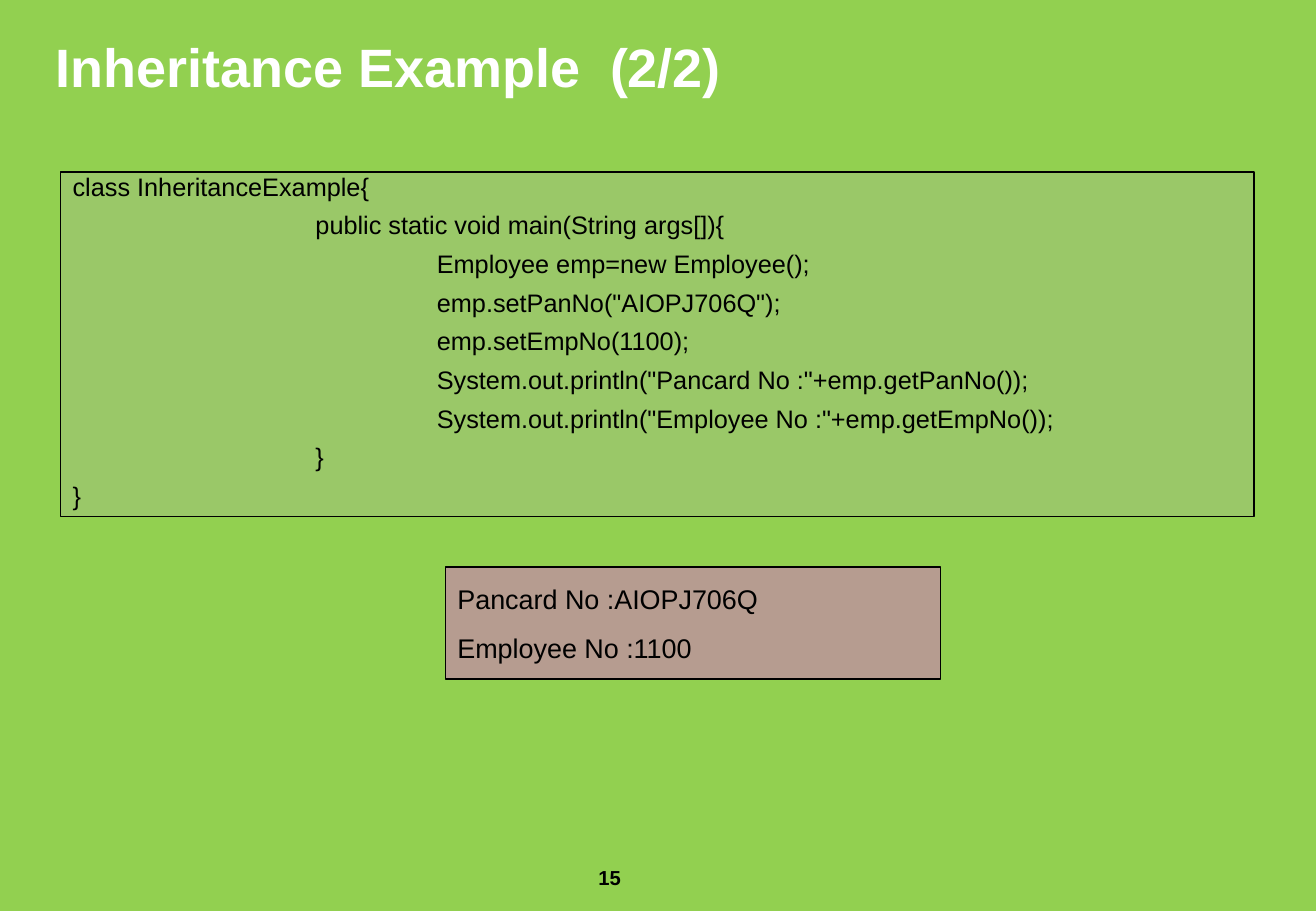
from lxml.etree import SubElement as add_element
from pptx import Presentation
from pptx.dml.color import RGBColor
from pptx.enum.shapes import MSO_SHAPE as Shape
from pptx.enum.text import MSO_ANCHOR as Anchor, MSO_AUTO_SIZE as AutoSize, PP_ALIGN as Align
from pptx.oxml.ns import qn
from pptx.util import Cm, Pt

TITLE_ONLY = 5
TAB_WIDTH = Cm(2.54)

CODE = [
    'class InheritanceExample{',
    '\t\tpublic static void main(String args[]){',
    '\t\t\tEmployee emp=new Employee();',
    '\t\t\temp.setPanNo("AIOPJ706Q");',
    '\t\t\temp.setEmpNo(1100);',
    '\t\t\tSystem.out.println("Pancard No :"+emp.getPanNo());',
    '\t\t\tSystem.out.println("Employee No :"+emp.getEmpNo());',
    '\t\t}',
    '}',
]
OUTPUT = ['Pancard No :AIOPJ706Q', 'Employee No :1100']


def colour(hex_code):
    return RGBColor.from_string(hex_code)


class SlideBuilder:
    font_name = 'Arial'
    ink = '000000'

    def __init__(self, page, background):
        self.page = page
        page.background.fill.solid()
        page.background.fill.fore_color.rgb = colour(background)

    def add_lines(self, frame, lines, size, hex_code=ink, bold=False, gap=0, spacing=1.0, tabs=0):
        """Fill a text frame with one left-aligned paragraph per line."""
        frame.word_wrap = True
        frame.auto_size = AutoSize.NONE
        for index, line in enumerate(lines):
            para = frame.add_paragraph() if index else frame.paragraphs[0]
            if tabs:
                self.add_tab_stops(para, tabs)
            para.alignment = Align.LEFT
            para.line_spacing = spacing
            para.space_before = Pt(gap if index else 0)
            span = para.add_run()
            span.text = line
            span.font.name = self.font_name
            span.font.size = Pt(size)
            span.font.bold = bold
            span.font.color.rgb = colour(hex_code)

    def add_tab_stops(self, para, count):
        stops = add_element(para._p.get_or_add_pPr(), qn('a:tabLst'))
        for number in range(1, count + 1):
            add_element(stops, qn('a:tab'), pos=str(number * TAB_WIDTH), algn='l')

    def title(self, text, left, top, width, height):
        box = self.page.shapes.title
        box.left, box.top, box.width, box.height = left, top, width, height
        box.text_frame.vertical_anchor = Anchor.MIDDLE
        self.add_lines(box.text_frame, [text], 32, 'FFFFFF', bold=True)
        self.add_text_shadow(box.text_frame.paragraphs[0].runs[0])

    def add_text_shadow(self, span):
        properties = span._r.get_or_add_rPr()
        effects = properties.makeelement(qn('a:effectLst'))
        properties.find(qn('a:solidFill')).addnext(effects)
        shadow = add_element(effects, qn('a:outerShdw'), dist='25400', dir='2700000')
        add_element(shadow, qn('a:srgbClr'), val=self.ink)

    def panel(self, lines, left, top, width, height, fill, size, anchor, opacity=100, **style):
        box = self.page.shapes.add_shape(Shape.RECTANGLE, left, top, width, height)
        box.shadow.inherit = False
        box.fill.solid()
        box.fill.fore_color.rgb = colour(fill)
        if opacity < 100:
            fill_colour = box._element.spPr.find(qn('a:solidFill'))[0]
            add_element(fill_colour, qn('a:alpha'), val=str(opacity * 1000))
        box.line.color.rgb = colour(self.ink)
        box.line.width = Pt(1)
        box.text_frame.vertical_anchor = anchor
        self.add_lines(box.text_frame, lines, size, **style)

    def page_number(self, text, left, top, width, height):
        box = self.page.shapes.add_textbox(left, top, width, height)
        self.add_lines(box.text_frame, [text], 12, bold=True)


def main():
    deck = Presentation()
    deck.slide_width, deck.slide_height = Cm(27.53), Cm(19.05)
    page = deck.slides.add_slide(deck.slide_layouts[TITLE_ONLY])
    builder = SlideBuilder(page, '92D050')
    builder.page_number('15', Cm(12.27), Cm(17.98), Cm(2.34), Cm(1.32))
    builder.title('Inheritance Example  (2/2)', Cm(0.91), Cm(0.03), Cm(22.43), Cm(2.69))
    builder.panel(CODE, Cm(1.27), Cm(3.6), Cm(24.97), Cm(7.2), 'B2B2B2', 15, Anchor.TOP,
                  opacity=25, gap=9.4, spacing=0.75, tabs=3)
    builder.panel(OUTPUT, Cm(9.32), Cm(11.86), Cm(10.36), Cm(2.34), 'B69C90', 16,
                  Anchor.MIDDLE, gap=10)
    deck.save("out.pptx")


if __name__ == "__main__":
    main()
